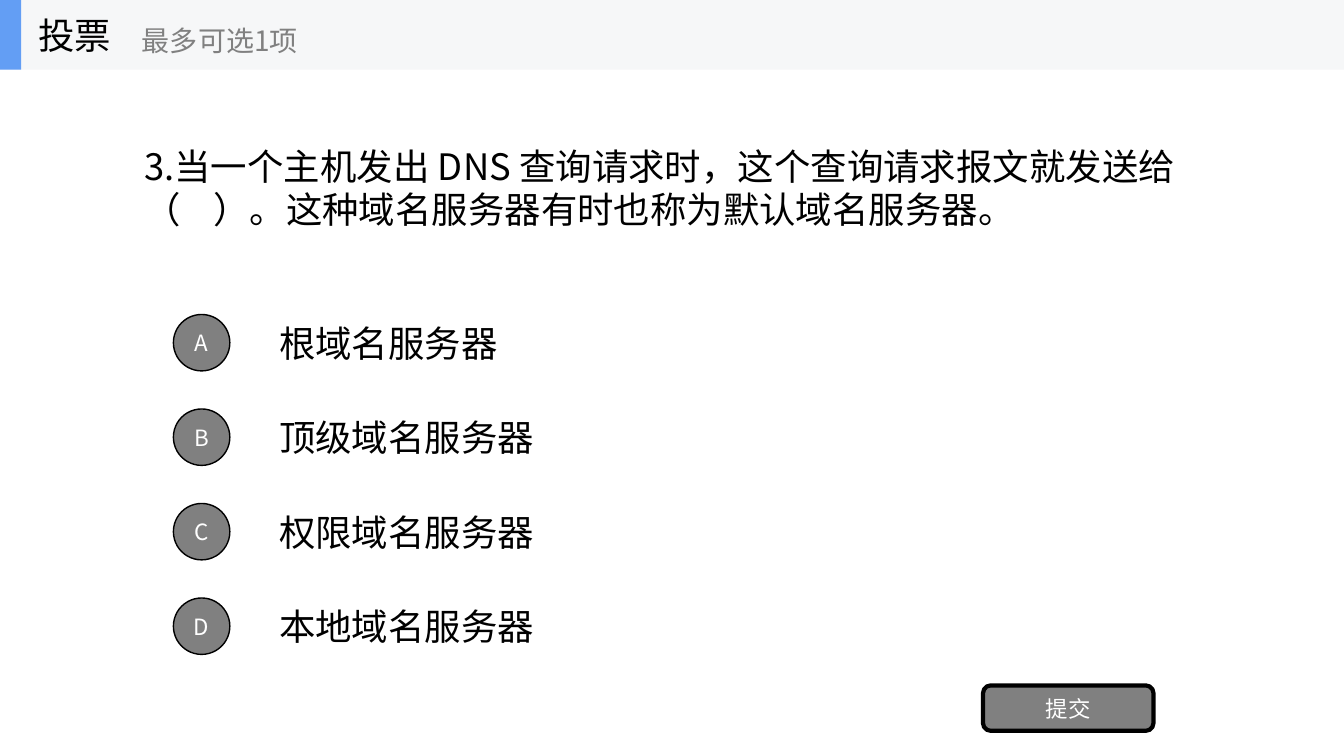
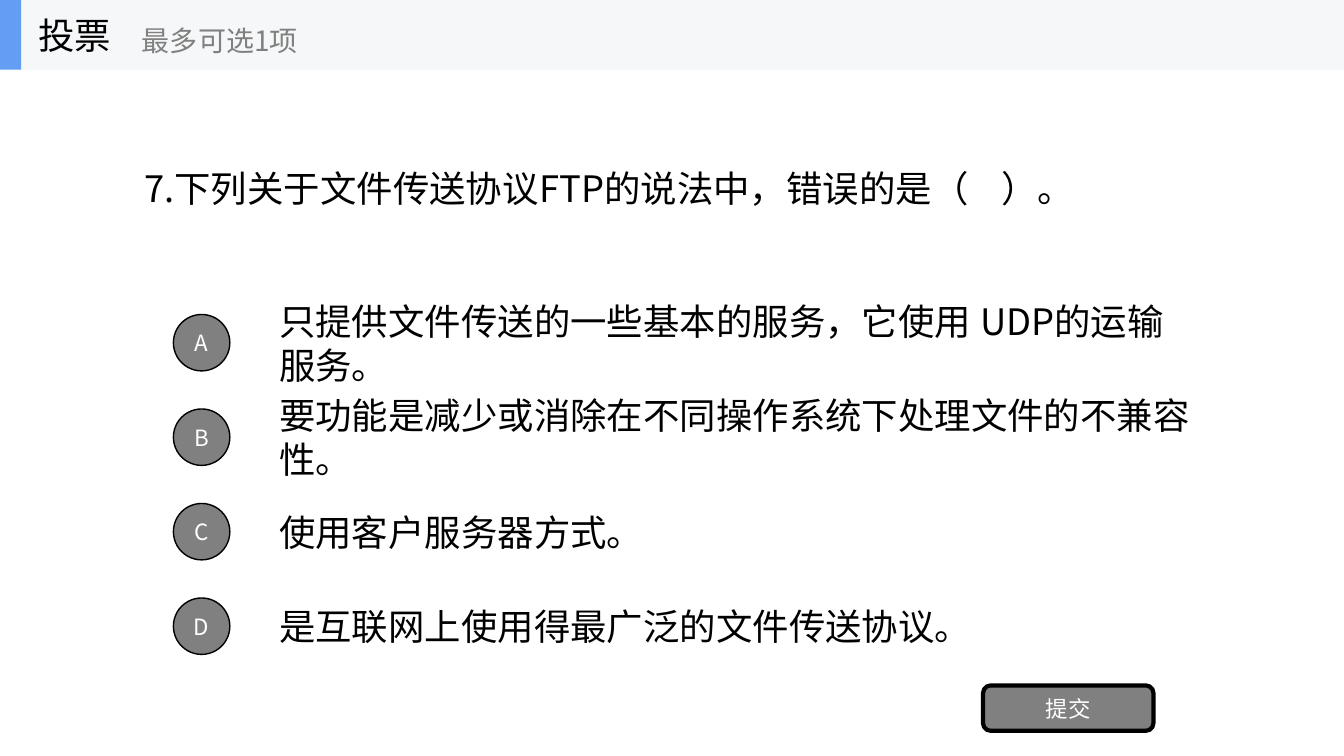
import pptx
import pptx.util
import pptx.dml.color
import pptx.enum.shapes
import pptx.enum.text
import pptx.oxml
import pptx.oxml.ns
from dataclasses import dataclass

Inches = pptx.util.Inches
Pt = pptx.util.Pt
SHAPES = pptx.enum.shapes.MSO_SHAPE
ALIGN = pptx.enum.text.PP_ALIGN

POLLS = [
    {
        "question": "3.当一个主机发出 DNS 查询请求时，这个查询请求报文就发送给（    ）。这种域名服务器有时也称为默认域名服务器。",
        "answers": ["根域名服务器", "顶级域名服务器", "权限域名服务器", "本地域名服务器"],
    },
    {
        "question": "7.下列关于文件传送协议FTP的说法中，错误的是（    ）。",
        "answers": [
            "只提供文件传送的一些基本的服务，它使用 UDP的运输服务。",
            "要功能是减少或消除在不同操作系统下处理文件的不兼容性。",
            "使用客户服务器方式。",
            "是互联网上使用得最广泛的文件传送协议。",
        ],
    },
]
LETTERS = "ABCD"
HEADING = "投票"
LIMIT = "最多可选1项"
SUBMIT = "提交"


@dataclass(frozen=True)
class Theme:
    font: str = "Noto Sans CJK SC"
    ink: str = "000000"
    muted: str = "808080"
    paper: str = "FFFFFF"
    band: str = "F6F7F8"
    accent: str = "639EF4"
    body_size: int = 26
    limit_size: int = 20
    button_size: int = 16


THEME = Theme()
WIDTH, HEIGHT = 13.33, 7.5
BAND_HEIGHT = 0.69
ANSWER_TOP, ANSWER_STEP, ANSWER_HEIGHT = 3.05, 0.9375, 0.7
BADGE_LEFT, BADGE_SIZE = 1.72, 0.56


def rgb(value):
    return pptx.dml.color.RGBColor.from_string(value)


def write(holder, text, size, color, align=ALIGN.LEFT):
    frame = holder.text_frame
    frame.auto_size = pptx.enum.text.MSO_AUTO_SIZE.NONE
    frame.word_wrap = True
    frame.vertical_anchor = pptx.enum.text.MSO_ANCHOR.MIDDLE
    paragraph = frame.paragraphs[0]
    paragraph.alignment = align
    run = paragraph.add_run()
    run.text = text
    run.font.size = Pt(size)
    run.font.name = THEME.font
    run.font.color.rgb = rgb(color)
    east_asian = pptx.oxml.parse_xml(
        f'<a:ea {pptx.oxml.ns.nsdecls("a")} typeface="{THEME.font}"/>'
    )
    run.font._element.find(pptx.oxml.ns.qn("a:latin")).addnext(east_asian)


def add_label(shapes, box, text, size, color):
    label = shapes.add_textbox(*map(Inches, box))
    write(label, text, size, color)


def add_block(shapes, kind, box, fill, border=0):
    block = shapes.add_shape(kind, *map(Inches, box))
    block.shadow.inherit = False
    block.fill.solid()
    block.fill.fore_color.rgb = rgb(fill)
    if border:
        block.line.color.rgb = rgb(THEME.ink)
        block.line.width = Pt(border)
    else:
        block.line.fill.background()
    return block


def add_button(shapes, kind, box, text, border):
    button = add_block(shapes, kind, box, THEME.muted, border)
    frame = button.text_frame
    frame.margin_left = frame.margin_right = 0
    frame.margin_top = frame.margin_bottom = 0
    write(button, text, THEME.button_size, THEME.paper, ALIGN.CENTER)


def add_header(slide):
    header = slide.shapes.add_group_shape().shapes
    add_block(header, SHAPES.RECTANGLE, (0, 0, WIDTH, BAND_HEIGHT), THEME.band)
    add_block(header, SHAPES.RECTANGLE, (0, 0, 0.21, BAND_HEIGHT), THEME.accent)
    add_label(header, (0.28, 0, 2.08, BAND_HEIGHT), HEADING, THEME.body_size, THEME.ink)
    add_label(header, (1.31, 0.12, 2.5, 0.56), LIMIT, THEME.limit_size, THEME.muted)


def add_poll(deck, poll):
    slide = deck.slides.add_slide(deck.slide_layouts[5])
    question = slide.shapes.title
    question.left, question.top = Inches(1.33), Inches(BAND_HEIGHT)
    question.width, question.height = Inches(10.67), Inches(2.34)
    write(question, poll["question"], THEME.body_size, THEME.ink)

    for row, (letter, answer) in enumerate(zip(LETTERS, poll["answers"])):
        top = ANSWER_TOP + row * ANSWER_STEP
        add_label(slide.shapes, (2.67, top, 9.33, ANSWER_HEIGHT),
                  answer, THEME.body_size, THEME.ink)
        badge_top = top + (ANSWER_HEIGHT - BADGE_SIZE) / 2
        add_button(slide.shapes, SHAPES.OVAL,
                   (BADGE_LEFT, badge_top, BADGE_SIZE, BADGE_SIZE), letter, 1)

    add_button(slide.shapes, SHAPES.ROUNDED_RECTANGLE, (9.75, 6.8, 1.69, 0.45), SUBMIT, 3)
    add_header(slide)


def main():
    deck = pptx.Presentation()
    deck.slide_width, deck.slide_height = Inches(WIDTH), Inches(HEIGHT)
    for poll in POLLS:
        add_poll(deck, poll)
    deck.save("out.pptx")


if __name__ == "__main__":
    main()
